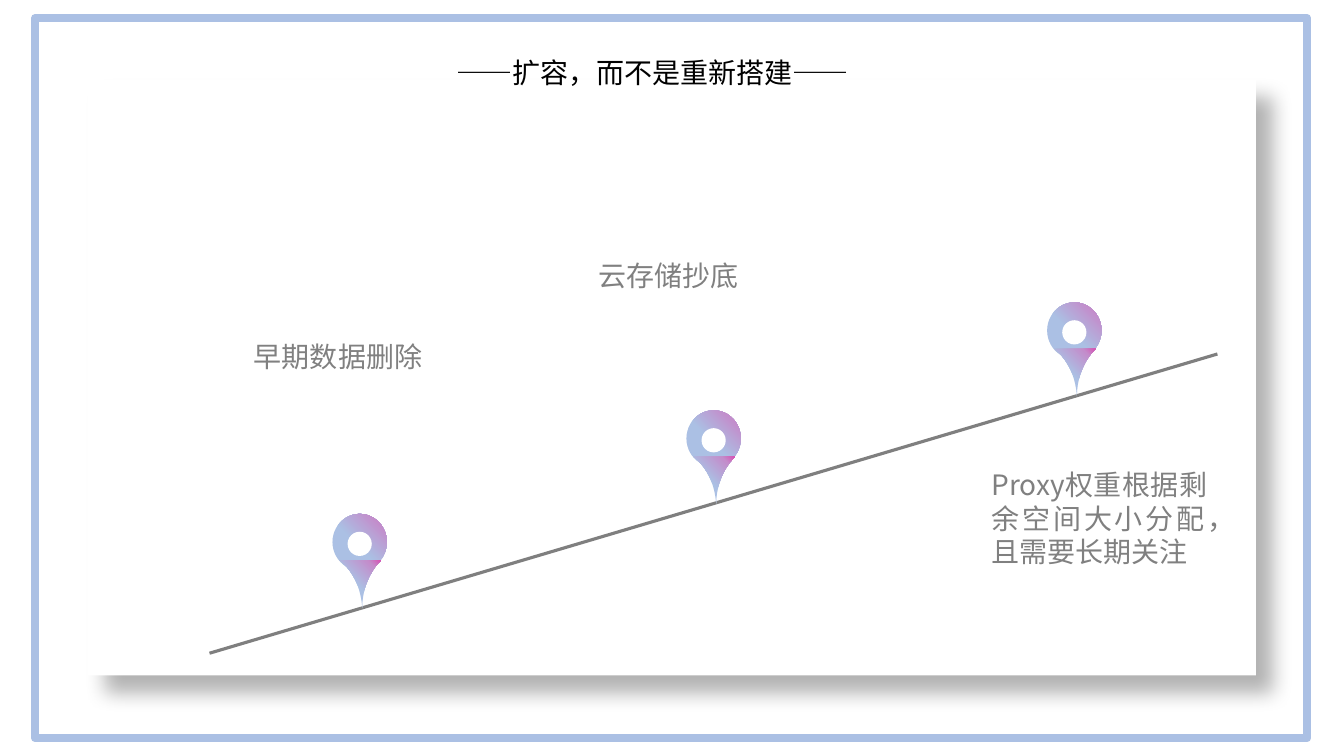
from dataclasses import dataclass

from lxml.etree import SubElement
from pptx import Presentation
from pptx.dml.color import RGBColor
from pptx.enum.shapes import MSO_CONNECTOR, MSO_SHAPE
from pptx.enum.text import MSO_AUTO_SIZE, PP_ALIGN
from pptx.oxml import parse_xml
from pptx.oxml.ns import nsdecls, qn
from pptx.util import Cm, Pt


@dataclass(frozen=True)
class Theme:
    """Colours, type sizes and line widths of the deck."""
    font: str = "Noto Sans CJK SC"
    size: int = 20
    leading: int = 24
    white: str = "FFFFFF"
    black: str = "000000"
    label: str = "808080"
    road: str = "7F7F7F"
    border: str = "ABC0E4"
    border_width: int = 6
    road_width: float = 2.25
    pin_angle: int = 315
    pin_stops: tuple = (
        (0, "EEF3F9"), (0, "F6F8FC"), (0, "ABC0E4"), (45, "ABC0E4"),
        (86, "C48CCB"), (100, "D951B5"), (100, "C7D5ED"),
    )


def write_text(box, text, font, size, color, leading, align):
    """Write one formatted paragraph into a box."""
    para = box.text_frame.paragraphs[0]
    para.alignment = align
    para.line_spacing = Pt(leading)
    span = para.add_run()
    span.text = text
    span.font.name = font
    span.font.size = Pt(size)
    span.font.color.rgb = RGBColor.from_string(color)
    SubElement(span.font._element, qn("a:ea"), typeface=font)


def curve(start, first, second, end, steps=10):
    """Return points along a cubic curve, without its start."""
    points = []
    for step in range(1, steps + 1):
        t = step / steps
        weights = ((1 - t) ** 3, 3 * t * (1 - t) ** 2, 3 * t * t * (1 - t), t ** 3)
        corners = (start, first, second, end)
        points.append(tuple(
            sum(weight * corner[axis] for weight, corner in zip(weights, corners))
            for axis in (0, 1)
        ))
    return points


class SlideBuilder:
    """Draw elements on the current slide in one style."""

    def __init__(self, page, theme):
        """Keep the slide and its theme."""
        self.page = page
        self.theme = theme

    def shape(self, kind, left, top, width, height, shapes=None):
        """Add a white preset shape without line or shadow."""
        shapes = self.page.shapes if shapes is None else shapes
        shape = shapes.add_shape(kind, Cm(left), Cm(top), Cm(width), Cm(height))
        shape.shadow.inherit = False
        shape.fill.solid()
        shape.fill.fore_color.rgb = RGBColor.from_string(self.theme.white)
        shape.line.fill.background()
        return shape

    def frame(self, left, top, width, height):
        """Add the outlined page frame."""
        frame = self.shape(MSO_SHAPE.RECTANGLE, left, top, width, height)
        frame.line.color.rgb = RGBColor.from_string(self.theme.border)
        frame.line.width = Pt(self.theme.border_width)

    def card(self, left, top, width, height):
        """Add a card with a soft shadow."""
        card = self.shape(MSO_SHAPE.RECTANGLE, left, top, width, height)
        effects = card._element.spPr.find(qn("a:effectLst"))
        effects.append(parse_xml(
            f'<a:outerShdw {nsdecls("a")} blurRad="{Pt(15)}" dist="{Pt(18)}" '
            f'dir="{45 * 60000}" algn="tl" rotWithShape="0">'
            f'<a:srgbClr val="{self.theme.black}"><a:alpha val="30000"/></a:srgbClr>'
            '</a:outerShdw>'
        ))

    def road(self, left, bottom, right, top):
        """Add the rising line."""
        road = self.page.shapes.add_connector(
            MSO_CONNECTOR.STRAIGHT, Cm(left), Cm(bottom), Cm(right), Cm(top))
        road.line.color.rgb = RGBColor.from_string(self.theme.road)
        road.line.width = Pt(self.theme.road_width)
        SubElement(road._element.spPr, qn("a:effectLst"))

    def shade(self, shape):
        """Fill a shape with the pin gradient."""
        shape.fill.gradient()
        gradient = shape._element.spPr.find(qn("a:gradFill"))
        stops = "".join(
            f'<a:gs pos="{place * 1000}"><a:srgbClr val="{color}"/></a:gs>'
            for place, color in self.theme.pin_stops
        )
        gradient.getparent().replace(gradient, parse_xml(
            f'<a:gradFill {nsdecls("a")} rotWithShape="1"><a:gsLst>{stops}</a:gsLst>'
            f'<a:lin ang="{self.theme.pin_angle * 60000}" scaled="0"/></a:gradFill>'
        ))

    def pin(self, left, top):
        """Add a grouped map pin."""
        shapes = self.page.shapes.add_group_shape().shapes
        self.shade(self.shape(MSO_SHAPE.OVAL, left, top, 1.37, 1.42, shapes))
        start, corner, point = (0.18, 1.17), (1.22, 1.17), (0.75, 2.36)
        outline = [corner]
        outline += curve(corner, (0.94, 1.45), (0.75, 1.88), point)
        outline += curve(point, (0.72, 1.85), (0.5, 1.42), start)
        builder = shapes.build_freeform(Cm(left + start[0]), Cm(top + start[1]))
        builder.add_line_segments([(Cm(left + x), Cm(top + y)) for x, y in outline])
        tip = builder.convert_to_shape()
        tip.shadow.inherit = False
        tip.line.fill.background()
        self.shade(tip)
        self.shape(MSO_SHAPE.OVAL, left + 0.38, top + 0.45, 0.61, 0.61, shapes)

    def text(self, text, left, top, width, height=1.12, color=None,
             align=PP_ALIGN.JUSTIFY):
        """Add a wrapping text box."""
        box = self.page.shapes.add_textbox(Cm(left), Cm(top), Cm(width), Cm(height))
        box.text_frame.word_wrap = True
        box.text_frame.auto_size = MSO_AUTO_SIZE.SHAPE_TO_FIT_TEXT
        write_text(box, text, font=self.theme.font, size=self.theme.size,
                   color=color or self.theme.label, leading=self.theme.leading,
                   align=align)


def main():
    """Build and save the slide."""
    deck = Presentation()
    deck.slide_width, deck.slide_height = Cm(33.87), Cm(19.05)
    theme = Theme()
    slide = SlideBuilder(deck.slides.add_slide(deck.slide_layouts[6]), theme)
    slide.frame(0.89, 0.46, 32.05, 18.14)
    slide.card(2.21, 2.01, 29.44, 15.01)
    slide.road(5.28, 16.46, 30.68, 8.92)
    for left, top in ((8.38, 12.95), (17.3, 10.34), (26.39, 7.62)):
        slide.pin(left, top)
    slide.text("早期数据删除", 6.15, 8.43, 5.21)
    slide.text("云存储抄底", 14.83, 6.4, 6.3, align=PP_ALIGN.LEFT)
    slide.text("Proxy权重根据剩余空间大小分配，且需要长期关注", 24.74, 11.66, 5.94, 2.82)
    slide.text("——扩容，而不是重新搭建——", 11.25, 1.27, 10.82, color=theme.black)
    deck.save("out.pptx")


if __name__ == "__main__":
    main()
